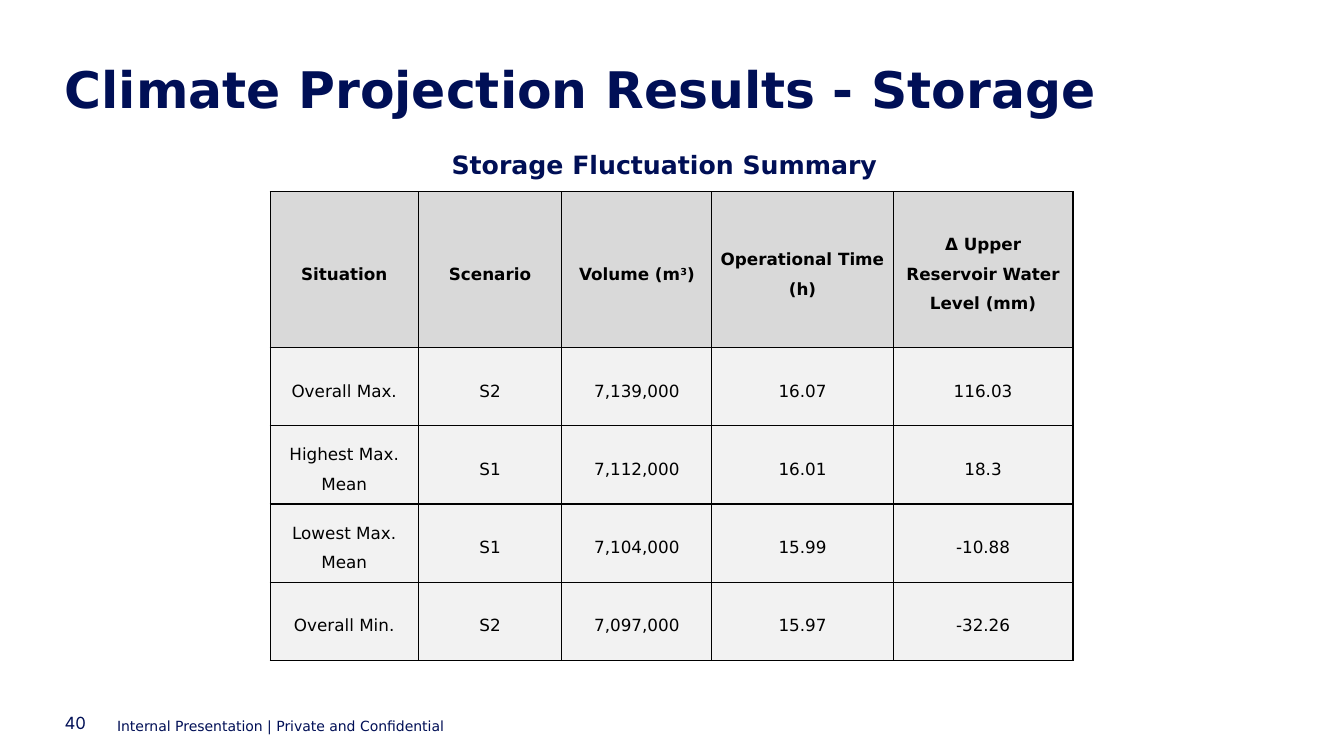
from lxml.etree import SubElement
from pptx import Presentation
from pptx.dml.color import RGBColor
from pptx.enum.text import MSO_ANCHOR as Anchor, MSO_AUTO_SIZE as AutoSize, PP_ALIGN as Align
from pptx.oxml.ns import qn
from pptx.util import Cm, Pt

COLORS = {
    "navy": "000F56",
    "black": "000000",
    "header": "D9D9D9",
    "body": "F2F2F2",
}
ROWS = [
    ["Situation", "Scenario", "Volume (m^3^)", "Operational Time (h)",
     "Δ Upper Reservoir Water Level (mm)"],
    ["Overall Max.", "S2", "7,139,000", "16.07", "116.03"],
    ["Highest Max. Mean", "S1", "7,112,000", "16.01", "18.3"],
    ["Lowest Max. Mean", "S1", "7,104,000", "15.99", "-10.88"],
    ["Overall Min.", "S2", "7,097,000", "15.97", "-32.26"],
]
COLUMN_WIDTHS = [3.73, 3.62, 3.78, 4.57, 4.53]
ROW_HEIGHTS = [3.93] + [1.97] * 4


def write(frame, text, size=12, color="navy", font="DejaVu Sans", bold=False,
          align=Align.LEFT, spacing=1.0, after=0):
    paragraph = frame.paragraphs[0]
    paragraph.alignment = align
    paragraph.line_spacing = spacing
    paragraph.space_before = Pt(0)
    paragraph.space_after = Pt(after)
    for index, part in enumerate(text.split("^")):
        run = paragraph.add_run()
        run.text = part
        run.font.name = font
        run.font.size = Pt(size)
        run.font.bold = bold
        run.font.color.rgb = RGBColor.from_string(COLORS[color])
        if index % 2:
            run.font._element.set("baseline", "30000")


def place(shape, left, top, width, height, anchor=Anchor.TOP, wrap=True):
    shape.left, shape.top, shape.width, shape.height = Cm(left), Cm(top), Cm(width), Cm(height)
    frame = shape.text_frame
    frame.margin_left = frame.margin_right = frame.margin_top = frame.margin_bottom = 0
    frame.auto_size = AutoSize.NONE
    frame.vertical_anchor = anchor
    frame.word_wrap = wrap
    return frame


presentation = Presentation()
presentation.slide_width = Cm(33.87)
presentation.slide_height = Cm(19.05)
slide = presentation.slides.add_slide(presentation.slide_layouts[5])

title = place(slide.shapes.title, 1.63, 1.63, 30.6, 1.75)
write(title, "Climate Projection Results - Storage", size=36, bold=True, spacing=0.9)

subtitle = place(slide.shapes.add_textbox(0, 0, 0, 0), 11.38, 3.84, 14.96, 0.99)
write(subtitle, "Storage Fluctuation Summary", size=18, bold=True, spacing=0.9)

page_number = place(slide.shapes.add_textbox(0, 0, 0, 0), 1.63, 17.96, 1.09, 0.53, Anchor.MIDDLE)
write(page_number, "40", font="Inter")

footer = place(slide.shapes.add_textbox(0, 0, 0, 0), 2.95, 17.98, 13.56, 0.53, wrap=False)
write(footer, "Internal Presentation | Private and Confidential", size=10, spacing=1.25)

table = slide.shapes.add_table(
    len(ROWS), len(COLUMN_WIDTHS), Cm(6.81), Cm(4.83),
    Cm(sum(COLUMN_WIDTHS)), Cm(sum(ROW_HEIGHTS))).table
for column, width in zip(table.columns, COLUMN_WIDTHS):
    column.width = Cm(width)
for row, height in zip(table.rows, ROW_HEIGHTS):
    row.height = Cm(height)

for row_index, values in enumerate(ROWS):
    is_header = row_index == 0
    for column_index, value in enumerate(values):
        cell = table.cell(row_index, column_index)
        cell.margin_left = cell.margin_right = Cm(0.18)
        cell.margin_top = cell.margin_bottom = 0
        cell.vertical_anchor = Anchor.MIDDLE
        properties = cell._tc.get_or_add_tcPr()
        for side in ("a:lnL", "a:lnR", "a:lnT", "a:lnB"):
            border = SubElement(properties, qn(side), w=str(Pt(1)))
            border_fill = SubElement(border, qn("a:solidFill"))
            SubElement(border_fill, qn("a:srgbClr"), val=COLORS["black"])
        cell.fill.solid()
        cell.fill.fore_color.rgb = RGBColor.from_string(COLORS["header" if is_header else "body"])
        write(cell.text_frame, value, color="black", bold=is_header,
              align=Align.CENTER, spacing=1.5, after=6)

presentation.save("out.pptx")
